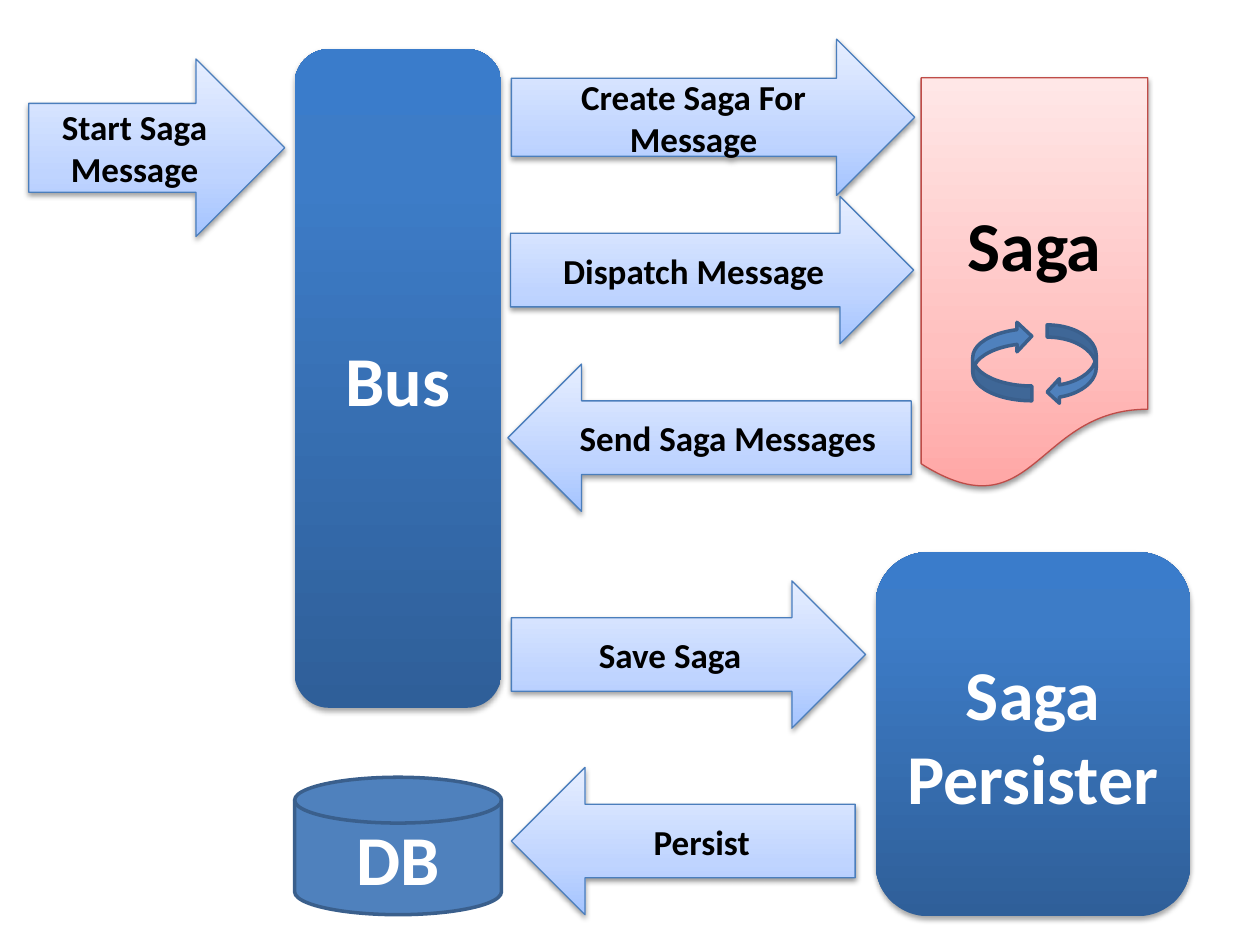
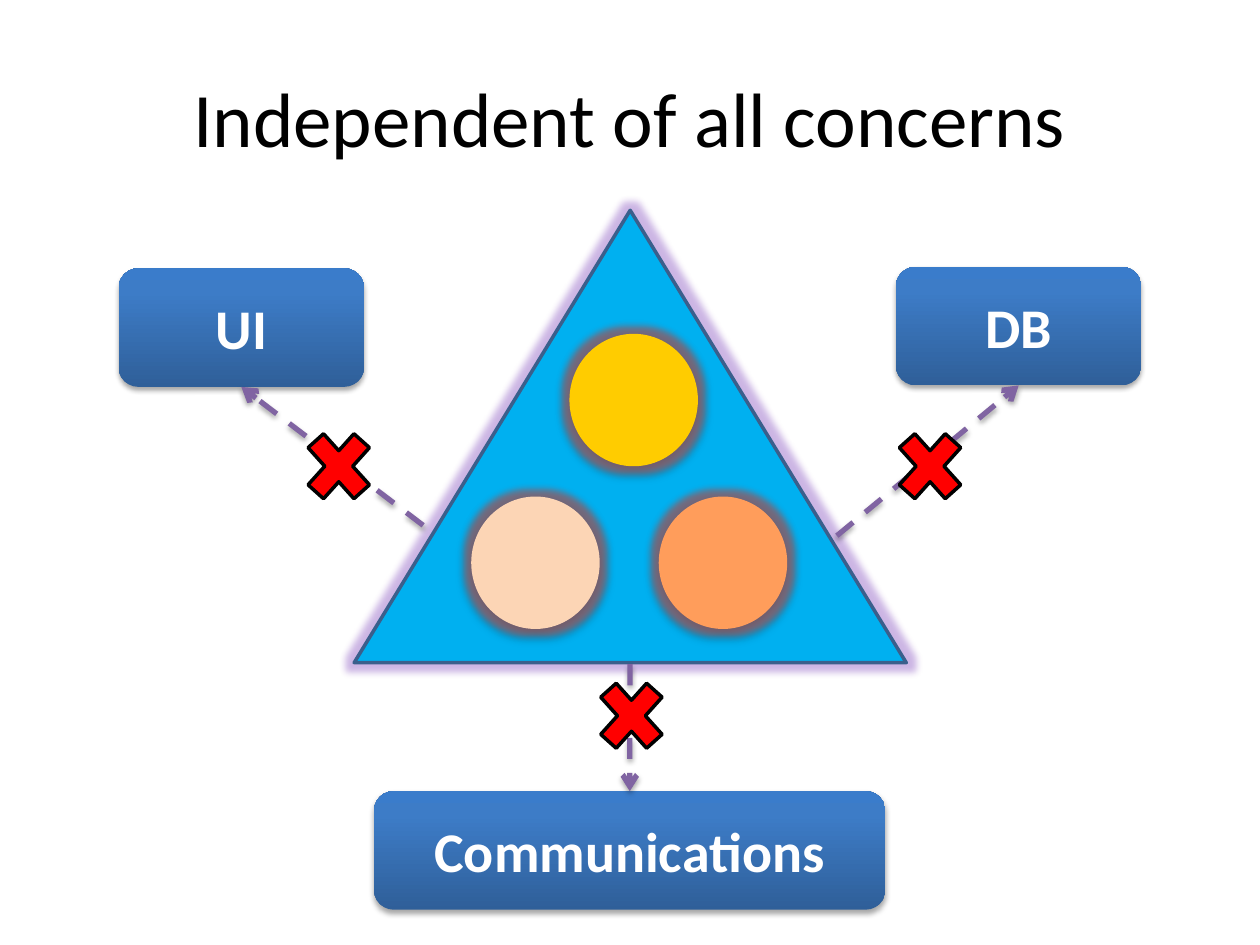
"""Build two slides: the saga message flow and a core independent of its surroundings."""
from lxml import etree
from pptx import Presentation
from pptx.dml.color import RGBColor
from pptx.enum.dml import MSO_LINE
from pptx.enum.shapes import MSO_CONNECTOR, MSO_SHAPE
from pptx.enum.text import MSO_ANCHOR, PP_ALIGN
from pptx.oxml.ns import qn
from pptx.util import Cm, Pt

ROUND = MSO_SHAPE.ROUNDED_RECTANGLE
ARROW = MSO_SHAPE.RIGHT_ARROW
PAPER = MSO_SHAPE.FLOWCHART_DOCUMENT
DISK = MSO_SHAPE.FLOWCHART_MAGNETIC_DISK
LEFT_TURN = MSO_SHAPE.CURVED_LEFT_ARROW
RIGHT_TURN = MSO_SHAPE.CURVED_RIGHT_ARROW
PEAK = MSO_SHAPE.ISOSCELES_TRIANGLE
OVAL = MSO_SHAPE.OVAL
CROSS = MSO_SHAPE.MATH_MULTIPLY
STRAIGHT = MSO_CONNECTOR.STRAIGHT
DASH = MSO_LINE.DASH
CENTER = PP_ALIGN.CENTER
MIDDLE = MSO_ANCHOR.MIDDLE

FONT = "Calibri"
COLORS = {
    "black": "000000", "white": "FFFFFF", "blue": "4F81BD", "navy": "3A5F8C",
    "edge": "4B7EBC", "rose": "BF4C48", "sky": "00B0F0", "peach": "FCD5B5",
    "gold": "FFCC00", "orange": "FF9D5B", "purple": "8064A2", "red": "FF0000",
    "halo": "8048BC", "rim": "C0504D",
}
BLENDS = {
    "deep": [(0, "2F5F99"), (80, "3D7CC7"), (100, "3A7CCB")],
    "pale": [(0, "A4C4FF"), (35, "BFD4FF"), (100, "E6EEFF")],
    "pink": [(0, "FFA6A5"), (35, "FFC0BF"), (100, "FFE7E7")],
}
STRONG = (1.8, 35)
SOFT = (1.6, 38)
STYLES = {
    "block": {"fill": "deep", "drop": STRONG, "ink": "white"},
    "step": {"fill": "pale", "line": ("edge", 0.75), "drop": SOFT, "ink": "black"},
    "page": {"fill": "pink", "line": ("rose", 0.75), "drop": SOFT, "ink": "black"},
    "flat": {"fill": "blue", "line": ("navy", 2), "ink": "white"},
    "core": {"fill": "sky", "line": ("navy", 2), "glow": ("halo", 40)},
    "peach": {"fill": "peach", "drop": STRONG, "glow": ("rim", 60)},
    "gold": {"fill": "gold", "drop": STRONG, "glow": ("rim", 60)},
    "orange": {"fill": "orange", "drop": STRONG, "glow": ("rim", 60)},
    "ban": {"fill": "red", "line": ("black", 2)},
}


def effect(shape, glow=None, drop=None):
    """Give a shape or connector only the glow and drop shadow named."""
    props = shape.element.spPr
    group = props.find(qn("a:effectLst"))
    if group is None:
        group = etree.SubElement(props, qn("a:effectLst"))
    parts = []
    if glow:
        parts.append(("a:glow", {"rad": Pt(8)}, *glow))
    if drop:
        drift, shade = drop
        place = {"blurRad": Pt(3.1), "dist": Pt(drift), "dir": 5400000, "rotWithShape": 0}
        parts.append(("a:outerShdw", place, "black", shade))
    for tag, attrs, tone, alpha in parts:
        part = etree.SubElement(group, qn(tag), {k: str(v) for k, v in attrs.items()})
        color = etree.SubElement(part, qn("a:srgbClr"), val=COLORS[tone])
        etree.SubElement(color, qn("a:alpha"), val=str(alpha * 1000))


def draw(slide, kind, at, look, label="", size=20, flip=None):
    """Add one styled preset shape with an optional bold label."""
    style = STYLES[look]
    shape = slide.shapes.add_shape(kind, *map(Cm, at))
    shape.shadow.inherit = False
    if style["fill"] in BLENDS:
        shape.fill.gradient()
        shape.fill.gradient_angle = 90
        stops = shape.element.spPr.find(".//" + qn("a:gsLst"))
        for old in list(stops):
            stops.remove(old)
        for spot, tone in BLENDS[style["fill"]]:
            stop = etree.SubElement(stops, qn("a:gs"), pos=str(spot * 1000))
            etree.SubElement(stop, qn("a:srgbClr"), val=tone)
    else:
        shape.fill.solid()
        shape.fill.fore_color.rgb = RGBColor.from_string(COLORS[style["fill"]])
    if "line" in style:
        tone, width = style["line"]
        shape.line.color.rgb = RGBColor.from_string(COLORS[tone])
        shape.line.width = Pt(width)
    else:
        shape.line.fill.background()
    effect(shape, style.get("glow"), style.get("drop"))
    if flip:
        shape.element.spPr.xfrm.set(flip, "1")
    if label:
        frame = shape.text_frame
        frame.word_wrap = True
        frame.vertical_anchor = MIDDLE
        para = frame.paragraphs[0]
        para.alignment = CENTER
        run = para.add_run()
        run.text = label
        run.font.name = FONT
        run.font.size = Pt(size)
        run.font.bold = True
        run.font.color.rgb = RGBColor.from_string(COLORS[style["ink"]])
    return shape


deck = Presentation()
deck.slide_width, deck.slide_height = Cm(25.4), Cm(19.05)
blank = deck.slide_layouts[6]

flow = deck.slides.add_slide(blank)
nodes = [
    (DISK, (5.94, 15.67, 4.17, 2.77), "flat", "DB"),
    (ROUND, (5.94, 0.99, 4.17, 13.28), "block", "Bus"),
    (PAPER, (18.57, 1.57, 4.57, 8.33), "page", "Saga"),
    (ROUND, (17.65, 11.13, 6.35, 7.34), "block", "Saga Persister"),
]
for kind, at, look, label in nodes:
    draw(flow, kind, at, look, label, 40)

steps = [
    ((0.58, 1.19, 5.16, 3.58), "Start Saga Message", None),
    ((10.31, 0.79, 8.13, 3.15), "Create Saga For Message", None),
    ((10.29, 3.96, 8.13, 2.97), "Dispatch Message", None),
    ((10.24, 7.34, 8.13, 2.97), "Send Saga Messages", "flipH"),
    ((10.31, 11.71, 7.14, 2.97), "Save Saga", None),
    ((10.31, 15.47, 6.93, 2.97), "Persist", "flipH"),
]
for at, label, flip in steps:
    draw(flow, ARROW, at, "step", label, flip=flip)

draw(flow, LEFT_TURN, (21.11, 6.55, 0.99, 1.6), "flat")
draw(flow, RIGHT_TURN, (19.61, 6.48, 1.19, 1.6), "flat", flip="flipV")

scope = deck.slides.add_slide(blank)
title = scope.shapes.add_textbox(Cm(1.27), Cm(0.76), Cm(22.86), Cm(3.18)).text_frame
title.word_wrap = True
title.vertical_anchor = MIDDLE
head = title.paragraphs[0]
head.alignment = CENTER
run = head.add_run()
run.text = "Independent of all concerns"
run.font.name = FONT
run.font.size = Pt(44)
run.font.color.rgb = RGBColor.from_string(COLORS["black"])

draw(scope, PEAK, (7.14, 4.24, 11.13, 9.12), "core")
for left, top, look in [(9.5, 10.01, "peach"), (11.48, 6.73, "gold"), (13.28, 10.01, "orange")]:
    draw(scope, OVAL, (left, top, 2.59, 2.67), look)

outer = [
    ("UI", (2.39, 5.41, 4.95), (8.53, 10.59), 2, (5.94, 8.41)),
    ("DB", (18.06, 5.38, 4.95), (16.87, 10.8), 2, (17.86, 8.41)),
    ("Communications", (7.54, 15.95, 10.31), (12.7, 13.39), 0, (11.84, 13.44)),
]
for label, (left, top, width), start, side, mark in outer:
    box = draw(scope, ROUND, (left, top, width, 2.39), "block", label, 32)
    x, y = map(Cm, start)
    link = scope.shapes.add_connector(STRAIGHT, x, y, x, y)
    link.end_connect(box, side)
    link.line.color.rgb = RGBColor.from_string(COLORS["purple"])
    link.line.width = Pt(3)
    link.line.dash_style = DASH
    etree.SubElement(link.line._get_or_add_ln(), qn("a:tailEnd"), type="arrow")
    effect(link, drop=STRONG)
    draw(scope, CROSS, (*mark, 1.78, 1.98), "ban")

deck.save("out.pptx")
